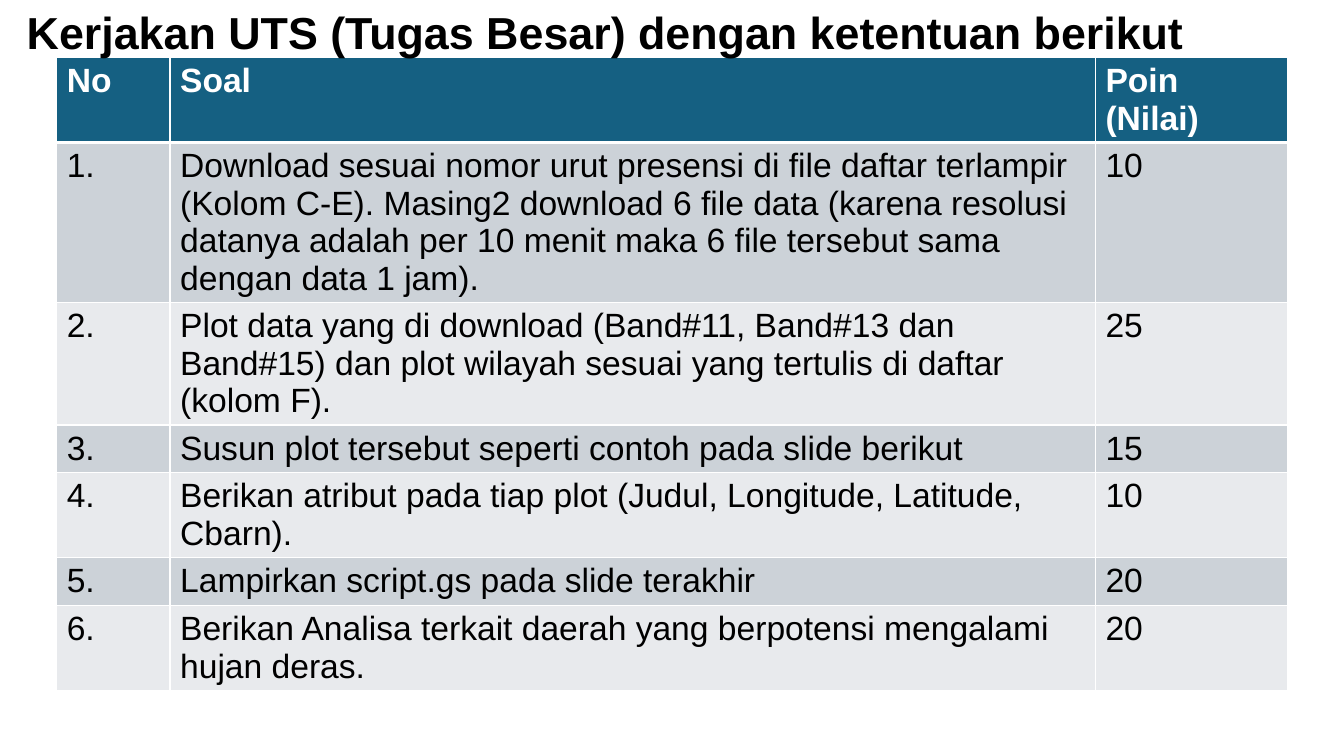
from dataclasses import dataclass

from lxml.etree import SubElement
from pptx import Presentation
from pptx.dml.color import RGBColor as Color
from pptx.enum.text import MSO_AUTO_SIZE as AutoSize
from pptx.oxml.ns import qn
from pptx.util import Pt


@dataclass(frozen=True)
class Theme:
    font: str = "Arial"
    title_size: int = 32
    table_size: int = 24
    ink: str = "000000"
    paper: str = "FFFFFF"
    header: str = "156082"
    bands: tuple = ("CCD2D8", "E8EAED")
    line: float = 1
    header_line: float = 3


THEME = Theme()
TITLE = "Kerjakan UTS (Tugas Besar) dengan ketentuan berikut"
HEADINGS = ("No", "Soal", "Poin (Nilai)")
# Task, points, number of text lines
TASKS = [
    ("Download sesuai nomor urut presensi di file daftar terlampir (Kolom C-E). "
     "Masing2 download 6 file data (karena resolusi datanya adalah per 10 menit "
     "maka 6 file tersebut sama dengan data 1 jam).", 10, 4),
    ("Plot data yang di download (Band#11, Band#13 dan Band#15) dan plot wilayah "
     "sesuai yang tertulis di daftar (kolom F).", 25, 3),
    ("Susun plot tersebut seperti contoh pada slide berikut", 15, 1),
    ("Berikan atribut pada tiap plot (Judul, Longitude, Latitude, Cbarn).", 10, 2),
    ("Lampirkan script.gs pada slide terakhir", 20, 1),
    ("Berikan Analisa terkait daerah yang berpotensi mengalami hujan deras.", 20, 2),
]
HEADER_LINES = 2
COLUMN_WIDTHS = (81, 661, 137)
LINE_HEIGHT, CELL_PADDING = 26.7, 7.2


def write(frame, text, size, color, bold):
    para = frame.paragraphs[0]
    span = para.add_run()
    span.text = text
    formats = {"name": THEME.font, "size": Pt(size), "bold": bold}
    for name, value in formats.items():
        setattr(span.font, name, value)
    span.font.color.rgb = Color.from_string(color)


def add_borders(cell, top, bottom):
    properties = cell._tc.get_or_add_tcPr()
    widths = {"lnL": THEME.line, "lnR": THEME.line, "lnT": top, "lnB": bottom}
    for side, width in widths.items():
        line = SubElement(properties, qn(f"a:{side}"), w=str(Pt(width)))
        fill = SubElement(line, qn("a:solidFill"))
        SubElement(fill, qn("a:srgbClr"), val=THEME.paper)


def fill_cell(cell, text, row):
    is_header = row == 0
    # Borders, with a heavy line below the header
    top = THEME.header_line if row == 1 else THEME.line
    bottom = THEME.header_line if is_header else THEME.line
    add_borders(cell, top, bottom)
    # Fill and text
    cell.fill.solid()
    fill = THEME.header if is_header else THEME.bands[(row - 1) % 2]
    cell.fill.fore_color.rgb = Color.from_string(fill)
    color = THEME.paper if is_header else THEME.ink
    write(cell.text_frame, text, THEME.table_size, color, is_header)


def add_task_table(page, left, top):
    rows = [HEADINGS]
    rows += [(f"{number}.", task, str(points))
             for number, (task, points, _) in enumerate(TASKS, 1)]
    line_counts = [HEADER_LINES] + [lines for _, _, lines in TASKS]
    heights = [CELL_PADDING + LINE_HEIGHT * count for count in line_counts]
    box = page.shapes.add_table(len(rows), len(HEADINGS), Pt(left), Pt(top),
                                Pt(sum(COLUMN_WIDTHS)), Pt(sum(heights)))
    table = box.table
    for column, width in zip(table.columns, COLUMN_WIDTHS):
        column.width = Pt(width)
    for row, (texts, height) in enumerate(zip(rows, heights)):
        table.rows[row].height = Pt(height)
        for column, text in enumerate(texts):
            fill_cell(table.cell(row, column), text, row)


def add_title(page, left, top, width, height):
    box = page.shapes.add_textbox(Pt(left), Pt(top), Pt(width), Pt(height))
    frame = box.text_frame
    frame.word_wrap = True
    frame.auto_size = AutoSize.SHAPE_TO_FIT_TEXT
    write(frame, TITLE, THEME.title_size, THEME.ink, True)


def main():
    deck = Presentation()
    deck.slide_width, deck.slide_height = Pt(960), Pt(540)
    page = deck.slides.add_slide(deck.slide_layouts[6])
    add_task_table(page, 40.5, 41)
    add_title(page, 12, 0, 865, 46)
    deck.save("out.pptx")


if __name__ == "__main__":
    main()
